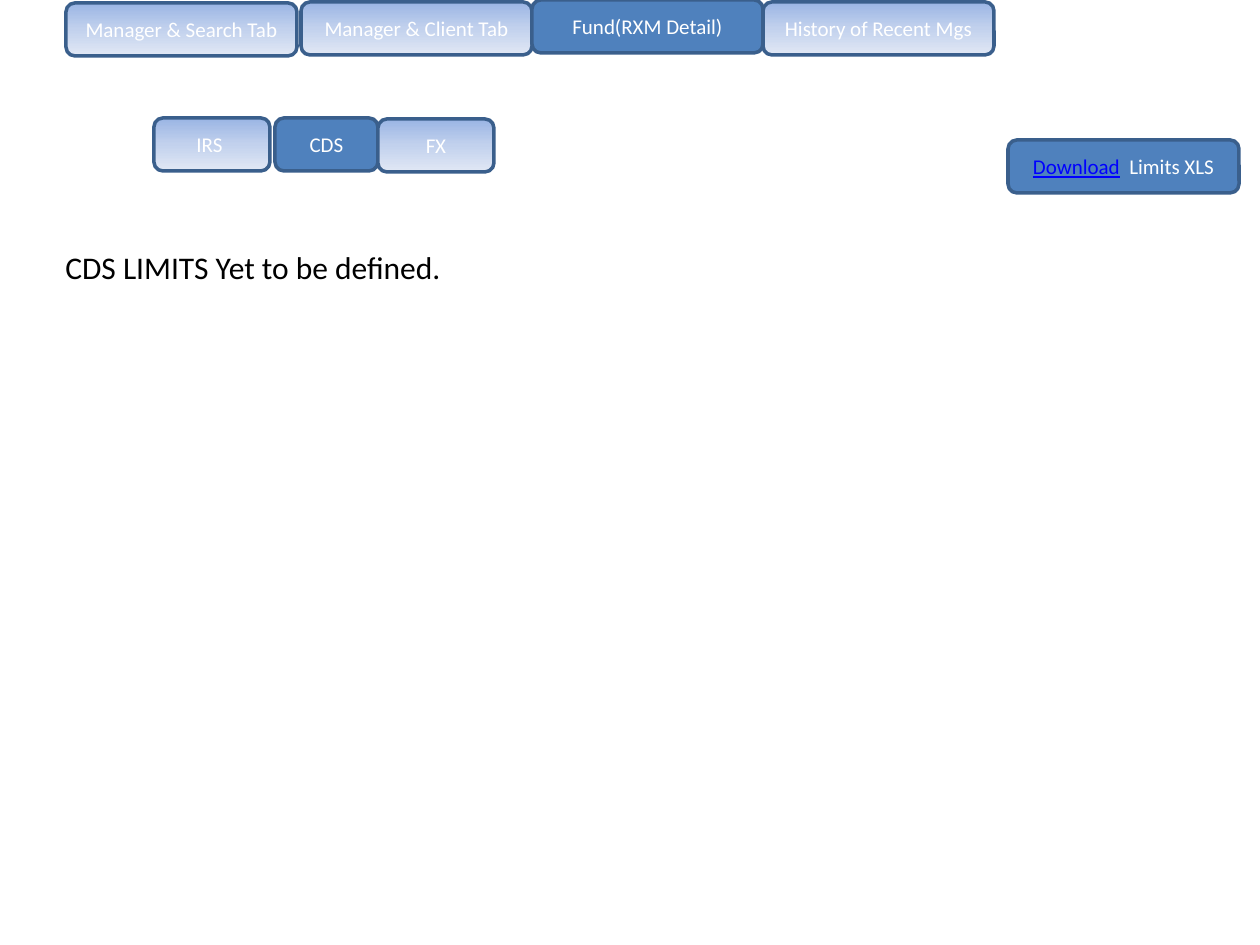
from copy import deepcopy
from dataclasses import dataclass

from pptx import Presentation
from pptx.dml.color import RGBColor
from pptx.enum.shapes import MSO_AUTO_SHAPE_TYPE as Shape
from pptx.enum.text import MSO_ANCHOR as Anchor, MSO_AUTO_SIZE as AutoSize, PP_ALIGN as Align
from pptx.oxml.ns import qn
from pptx.slide import Slide
from pptx.util import Emu, Pt

PX_PER_INCH = 126
FONT = "Calibri"
TAB_W, TAB_H = 231, 53
SUBTAB_Y = 118

BLACK = RGBColor(0x00, 0x00, 0x00)
WHITE = RGBColor(0xFF, 0xFF, 0xFF)
LINK_BLUE = RGBColor(0x00, 0x00, 0xFF)
ACTIVE = RGBColor(0x4F, 0x81, 0xBD)
BORDER = RGBColor(0x3A, 0x5F, 0x8C)
FADE = (
    RGBColor(0x9A, 0xB5, 0xE4),
    RGBColor(0xC2, 0xD1, 0xED),
    RGBColor(0xE1, 0xE8, 0xF5),
)


@dataclass(frozen=True)
class Run:
    text: str
    color: RGBColor = WHITE
    underline: bool = False
    size: int = 12


@dataclass(frozen=True)
class Button:
    x: int
    y: int
    runs: tuple[Run, ...]
    w: int = TAB_W
    active: bool = False


BUTTONS = (
    Button(66, 3, (Run("Manager & Search Tab"),)),
    Button(301, 2, (Run("Manager & Client Tab"),)),
    Button(154, SUBTAB_Y, (Run("IRS "),), w=116),
    Button(275, SUBTAB_Y, (Run("CDS"),), w=103, active=True),
    Button(1008, 140, (Run("Download", LINK_BLUE, True), Run("  Limits XLS")), active=True),
    Button(763, 2, (Run("History of Recent Mgs"),)),
    Button(378, SUBTAB_Y + 1, (Run("FX"),), w=116),
    Button(532, 0, (Run("Fund(RXM Detail)"),), active=True),
)


def px(n: int) -> Emu:
    """Convert whole pixels to EMU."""
    return Emu(round(n * 914400 / PX_PER_INCH))


def add_runs(p, runs: tuple[Run, ...]) -> None:
    """Append formatted runs to a paragraph."""
    for run in runs:
        r = p.add_run()
        r.text = run.text
        r.font.name = FONT
        r.font.size = Pt(run.size)
        r.font.color.rgb = run.color
        r.font.underline = run.underline


def fill_fade(sp) -> None:
    """Fill a shape with the three-stop fade from top to bottom."""
    sp.fill.gradient()
    sp.fill.gradient_angle = 270
    first = sp._element.spPr.find(".//" + qn("a:gs"))
    first.addnext(deepcopy(first))
    for stop, color, position in zip(sp.fill.gradient_stops, FADE, (0, 0.5, 1)):
        stop.color.rgb = color
        stop.position = position


def add_button(s: Slide, button: Button) -> None:
    """Draw a rounded tab or button with its centred label."""
    sp = s.shapes.add_shape(
        Shape.ROUNDED_RECTANGLE, px(button.x), px(button.y), px(button.w), px(TAB_H)
    )
    sp.shadow.inherit = False
    if button.active:
        sp.fill.solid()
        sp.fill.fore_color.rgb = ACTIVE
    else:
        fill_fade(sp)
    sp.line.color.rgb = BORDER
    sp.line.width = Pt(2)
    tf = sp.text_frame
    tf.vertical_anchor = Anchor.MIDDLE
    p = tf.paragraphs[0]
    p.alignment = Align.CENTER
    add_runs(p, button.runs)


def add_message(s: Slide, run: Run) -> None:
    """Place the body message below the tabs."""
    tf = s.shapes.add_textbox(px(53), px(242), px(1071), px(51)).text_frame
    tf.word_wrap = True
    tf.auto_size = AutoSize.SHAPE_TO_FIT_TEXT
    add_runs(tf.paragraphs[0], (run,))


def main() -> None:
    """Build and save the CDS limits slide."""
    prs = Presentation()
    prs.slide_width, prs.slide_height = px(1260), px(945)
    s = prs.slides.add_slide(prs.slide_layouts[6])
    add_message(s, Run("CDS LIMITS Yet to be defined.", BLACK, size=18))
    for button in BUTTONS:
        add_button(s, button)
    prs.save("out.pptx")


if __name__ == "__main__":
    main()
